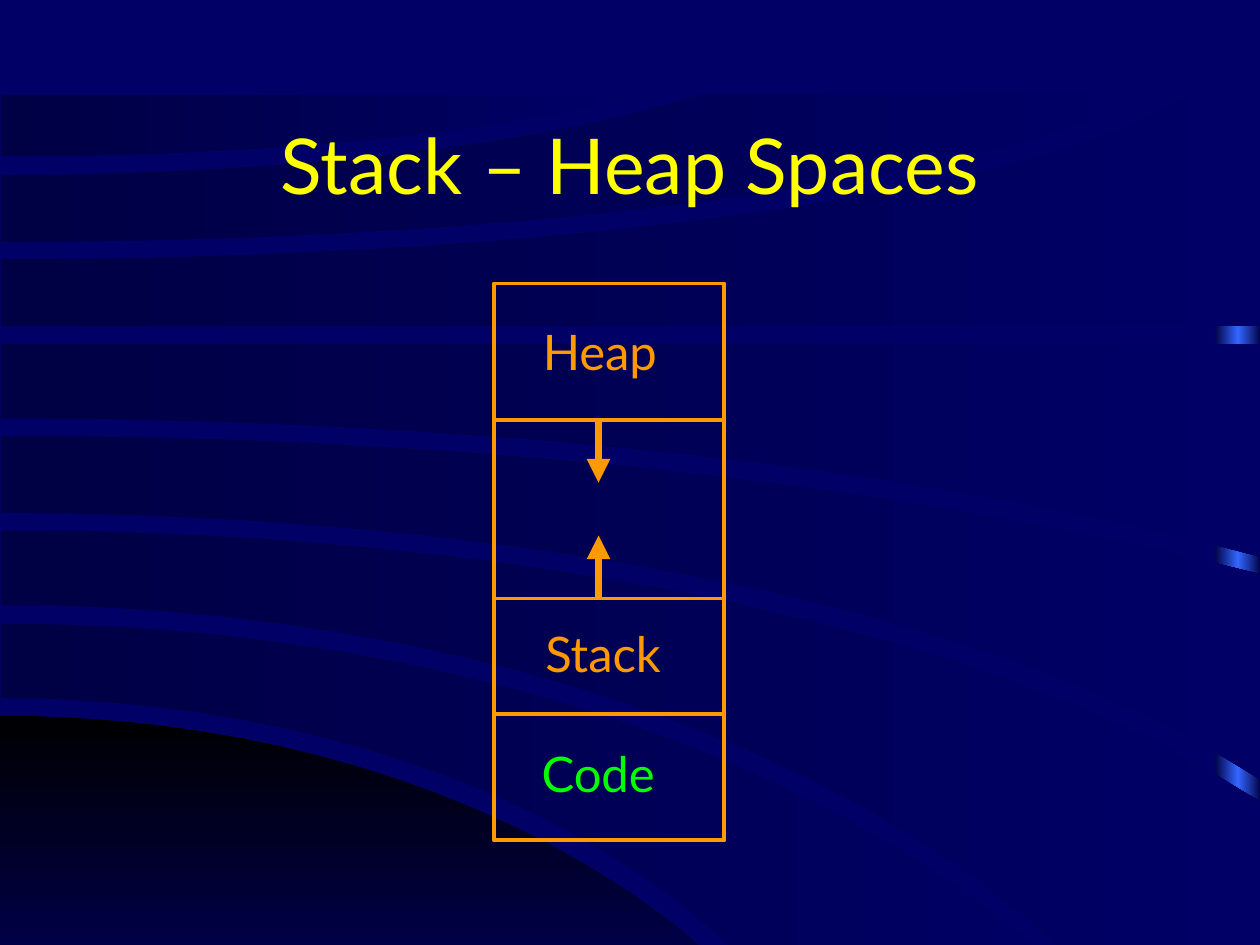
from copy import deepcopy
from math import sqrt
from lxml.etree import SubElement as Sub
from pptx import Presentation
from pptx.dml.color import RGBColor as RGB
from pptx.enum.shapes import MSO_CONNECTOR as Conn, MSO_SHAPE as Shape
from pptx.enum.text import MSO_ANCHOR as Anchor, PP_ALIGN as Align
from pptx.oxml.ns import qn
from pptx.util import Inches, Pt

NAVY, DARK, BLUE, BLACK = "000066", "000044", "3366FF", "000000"
ORANGE, GREEN, YELLOW = "FF9900", "00FF00", "FFFF00"

# Backdrop arcs: start y, end x, end y, share of the ellipse radius
STEPS = 20
EDGE = 10.01
HILL = (5.68, 6.29, 8.27, 0.88)
# Bands: upper arc, lower arc, corners between their right ends
BANDS = [
    ((4.95, 8.94, 8.25, 0.89), (5.54, 6.43, 8.25, 0.92), []),
    ((4.21, EDGE, 6.37, 0.88), (4.8, 9.1, 8.25, 0.91), [(EDGE, 8.25)]),
    ((3.46, EDGE, 4.56, 0.65), (4.07, EDGE, 6.19, 0.89), []),
    ((2.73, EDGE, 2.73, 0.5), (3.32, EDGE, 4.42, 0.75), []),
    ((2.06, 9.44, 0.75, 0.97), (2.59, EDGE, 2.59, 0.5), [(EDGE, 0.75)]),
    ((1.39, 5.57, 0.75, 0.85), (1.92, 9.18, 0.75, 0.93), []),
    ((0.75, 5.02, 0.75, 0.5), (1.24, 5.02, 0.75, 0.87), []),
]

# Memory map and text: words, place, colour
LEFT, TOP, WIDE, TALL = 3.92, 2.25, 1.83, 4.42
RULES = [5.67, 4.75, 3.33]
ARROWS = [(4.75, 4.25), (3.33, 3.83)]
ARROW_X = 4.75
TITLE = ("Stack – Heap Spaces", (0.75, 0.67, 8.5, 1.25), YELLOW)
LABELS = [
    ("Code", (4.2, 5.85, 1.14, 0.57), GREEN),
    ("Stack", (4.23, 4.9, 1.16, 0.57), ORANGE),
    ("Heap", (4.21, 2.5, 1.16, 0.57), ORANGE),
]
TITLE_FMT = {"word_wrap": True, "vertical_anchor": Anchor.MIDDLE}
LABEL_FMT = {"word_wrap": False, "vertical_anchor": Anchor.TOP}


def color(code):
    return RGB.from_string(code)


def arc(start, far, end, share, left=0.01):
    """Points of an ellipse arc that leaves the left side level."""
    def drop(t):
        return 1 - sqrt(1 - (share * t) ** 2)

    parts = [i / STEPS for i in range(STEPS + 1)]
    return [(left + (far - left) * t,
             start + (end - start) * drop(t) / drop(1)) for t in parts]


def trace(points):
    (x, y), *rest = [(Inches(a), Inches(b)) for a, b in points]
    pen = shapes.build_freeform(x, y)
    pen.add_line_segments(rest)
    return pen.convert_to_shape()


def shade(shape, codes, angle=0):
    """Fill with evenly spaced gradient stops and no outline."""
    shape.shadow.inherit = False
    shape.line.fill.background()
    fill = shape.fill
    fill.gradient()
    fill.gradient_angle = angle
    stops = shape.element.spPr.find(".//" + qn("a:gsLst"))
    while len(stops) < len(codes):
        stops.append(deepcopy(stops[-1]))
    for i, (stop, code) in enumerate(zip(fill.gradient_stops, codes)):
        stop.color.rgb = color(code)
        stop.position = i / (len(codes) - 1)


def stroke(line, width):
    line.color.rgb = color(ORANGE)
    line.width = Pt(width)


def rule(x1, y1, x2, y2, width, tip=False):
    line = shapes.add_connector(Conn.STRAIGHT, *map(Inches, (x1, y1, x2, y2)))
    stroke(line.line, width)
    props = line.element.spPr
    if tip:
        Sub(props.find(qn("a:ln")), qn("a:tailEnd"), type="triangle")
    Sub(props, qn("a:effectLst"))


def write(words, place, code, size, align, form):
    frame = shapes.add_textbox(*map(Inches, place)).text_frame
    for key, value in form.items():
        setattr(frame, key, value)
    para = frame.paragraphs[0]
    para.alignment = align
    run = para.add_run()
    run.text = words
    for key, value in {"name": "Lato", "size": Pt(size)}.items():
        setattr(run.font, key, value)
    run.font.color.rgb = color(code)


deck = Presentation()
deck.slide_width, deck.slide_height = Inches(10), Inches(7.5)
slide = deck.slides.add_slide(deck.slide_layouts[6])
shapes = slide.shapes

# Backdrop
back = slide.background.fill
back.solid()
back.fore_color.rgb = color(NAVY)
strip = shapes.add_shape(Shape.RECTANGLE, *map(Inches, (9.64, 0.77, 0.37, 7.5)))
shade(strip, [DARK, BLUE, DARK])
shade(trace(arc(*HILL, left=0) + [(0, HILL[2])]), [BLACK, NAVY], 270)
for upper, lower, corners in BANDS:
    shade(trace(arc(*upper) + corners + arc(*lower)[::-1]), [DARK, NAVY])

# Title
write(*TITLE, 44, Align.CENTER, TITLE_FMT)

# Memory map
box = shapes.add_shape(Shape.RECTANGLE, *map(Inches, (LEFT, TOP, WIDE, TALL)))
box.shadow.inherit = False
box.fill.background()
stroke(box.line, 2.25)
for y in RULES:
    rule(LEFT, y, LEFT + WIDE, y, 2.25)
for label in LABELS:
    write(*label, 28, Align.LEFT, LABEL_FMT)
for start, end in ARROWS:
    rule(ARROW_X, start, ARROW_X, end, 4.5, tip=True)

deck.save("out.pptx")
